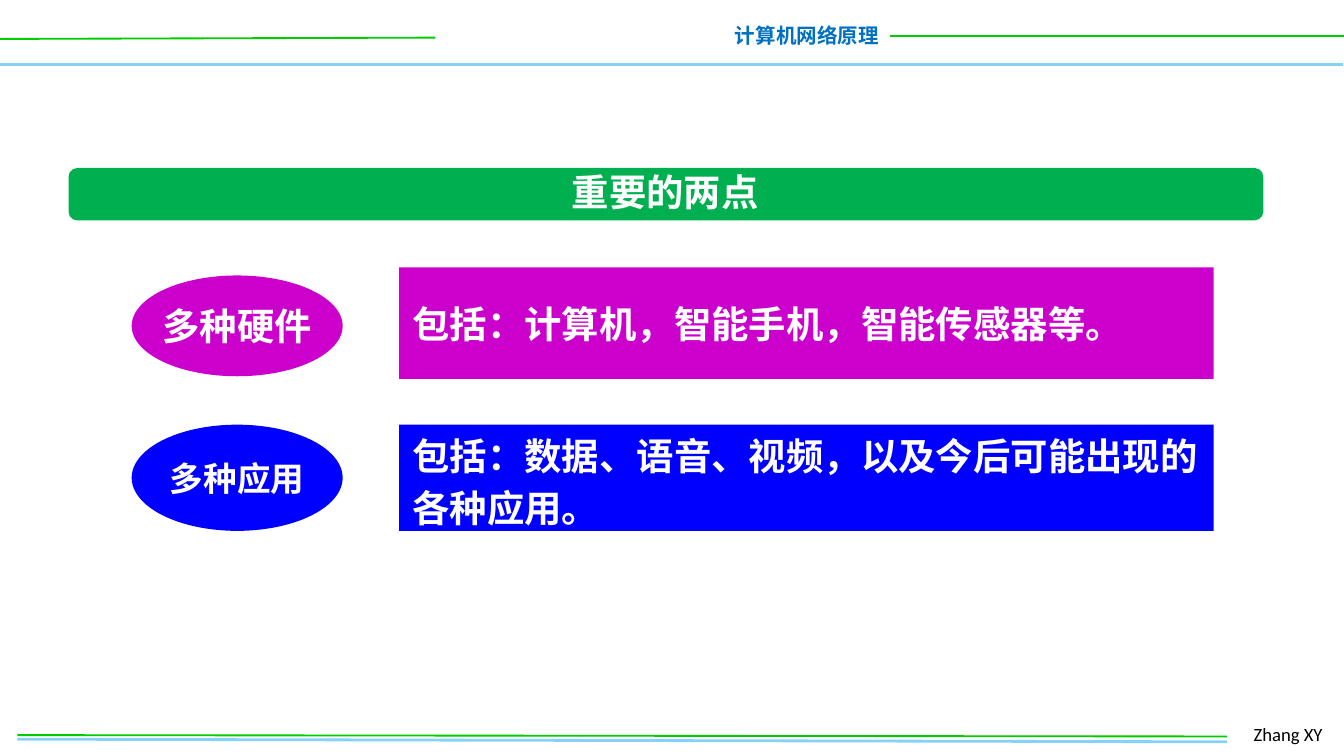
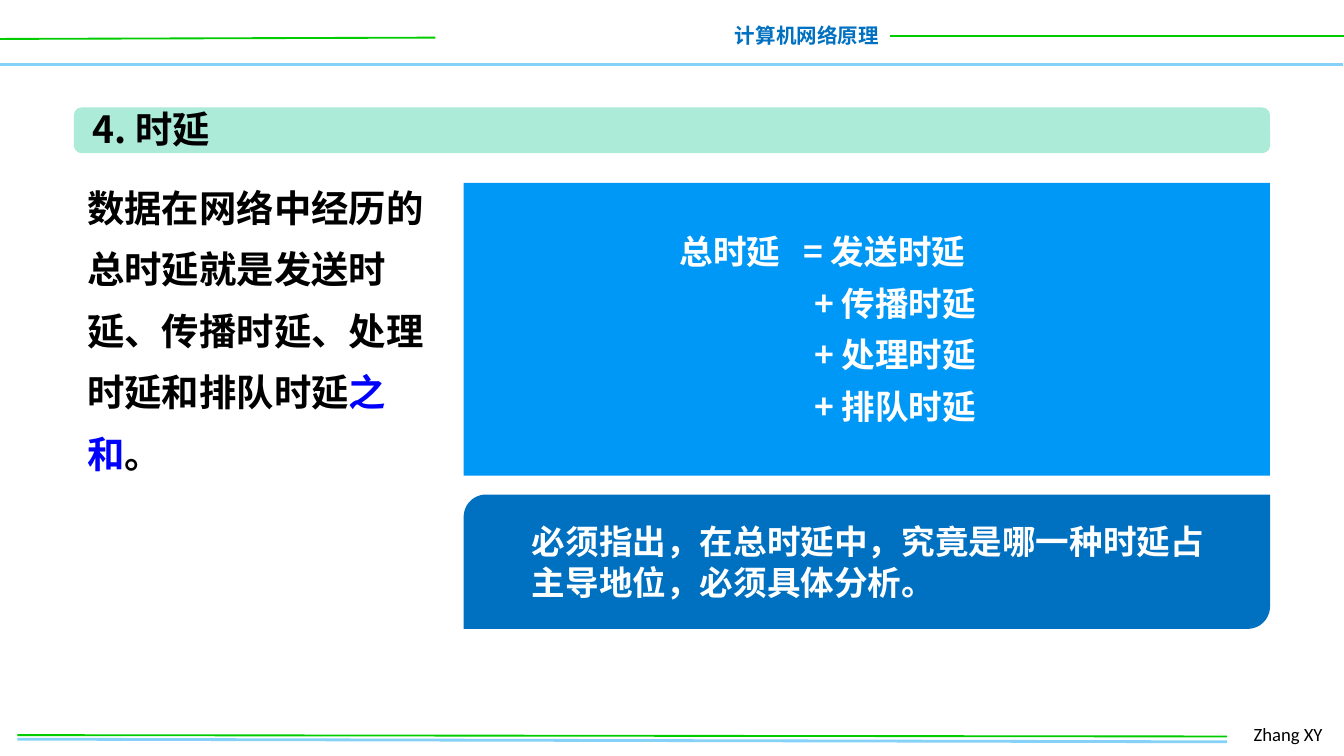
from lxml import etree
from pptx import Presentation
from pptx.dml.color import RGBColor
from pptx.enum.shapes import MSO_CONNECTOR, MSO_SHAPE
from pptx.enum.text import MSO_ANCHOR, PP_ALIGN
from pptx.oxml.ns import qn
from pptx.util import Inches, Pt

CJK = "Noto Sans CJK SC"
LATIN = "Calibri"
WHITE, BLACK = "FFFFFF", "000000"
GREEN_LINE, SKY_LINE = "00CC00", "85D1F7"
NAVY, BLUE, SKY = "0070C0", "0000FF", "0098F6"
PURPLE, GREEN, MINT = "CC00CC", "00B050", "ABEBD7"

FRAME_LINES = [  # start, end, colour, width
    ((-0.01, 0.48), (9.99, 0.48), SKY_LINE, 2),
    ((0, 0.29), (3.24, 0.28), GREEN_LINE, 1),
    ((6.62, 0.27), (10.01, 0.27), GREEN_LINE, 1),
    ((0.13, 5.5), (9.13, 5.52), SKY_LINE, 1.5),
    ((0.13, 5.47), (9.13, 5.48), GREEN_LINE, 1),
]


def rgb(color):
    return RGBColor.from_string(color)


def box(left, top, width, height):
    return [Inches(v) for v in (left, top, width, height)]


def style_run(r, size, color, bold=True, font=CJK):
    r.font.size = Pt(size)
    r.font.bold = bold
    r.font.color.rgb = rgb(color)
    r.font.name = font
    latin = r.font._element.find(qn("a:latin"))
    ea = etree.Element(qn("a:ea"), typeface=font)
    latin.addnext(ea)


def fill_text(sp, text, size, color, align=PP_ALIGN.LEFT, wrap=True,
              anchor=MSO_ANCHOR.TOP, **run_style):
    tf = sp.text_frame
    tf.text = text
    tf.word_wrap = wrap
    tf.vertical_anchor = anchor
    for p in tf.paragraphs:
        p.alignment = align
        p._p.get_or_add_pPr().set("hangingPunct", "0")
        for r in p.runs:
            style_run(r, size, color, **run_style)
    return tf


def add_text(slide, at, text, size, color, **options):
    sp = slide.shapes.add_textbox(*box(*at))
    return fill_text(sp, text, size, color, **options)


def add_block(slide, kind, at, color):
    sp = slide.shapes.add_shape(kind, *box(*at))
    sp.shadow.inherit = False
    sp.fill.solid()
    sp.fill.fore_color.rgb = rgb(color)
    sp.line.fill.background()
    return sp


def add_line(slide, start, end, color, width):
    line = slide.shapes.add_connector(
        MSO_CONNECTOR.STRAIGHT, *[Inches(v) for v in start + end])
    line.line.color.rgb = rgb(color)
    line.line.width = Pt(width)
    etree.SubElement(line._element.spPr, qn("a:effectLst"))


def add_title(slide, text, bar, bar_color, at, color, align):
    """Put the title over a rounded bar."""
    add_block(slide, MSO_SHAPE.ROUNDED_RECTANGLE, bar, bar_color)
    title = slide.shapes.title
    title.left, title.top, title.width, title.height = box(*at)
    fill_text(title, text, 20, color, align=align, wrap=False)
    slide.shapes._spTree.append(title._element)


def add_tab_stop(p, position):
    stops = etree.SubElement(p._p.get_or_add_pPr(), qn("a:tabLst"))
    etree.SubElement(stops, qn("a:tab"), pos=str(Inches(position)), algn="l")


def set_frame(slide):
    """Draw the header and footer, then hand them to the slide's layout."""
    own = len(slide.shapes)
    for line in FRAME_LINES:
        add_line(slide, *line)
    add_text(slide, (5.36, 0.12, 1.28, 0.29), "计算机网络原理", 11, NAVY,
             align=PP_ALIGN.RIGHT, wrap=False)
    add_text(slide, (9.23, 5.33, 0.74, 0.27), "Zhang XY", 10, BLACK,
             bold=False, font=LATIN)
    for sp in list(slide.shapes)[own:]:
        slide.slide_layout.shapes._spTree.append(sp._element)


def add_point(slide, oval, label, label_size, band, text, color):
    """Pair an oval label with the band that explains it."""
    sp = add_block(slide, MSO_SHAPE.OVAL, oval, color)
    fill_text(sp, label, label_size, WHITE, align=PP_ALIGN.CENTER,
              wrap=False, anchor=MSO_ANCHOR.MIDDLE)
    sp = add_block(slide, MSO_SHAPE.RECTANGLE, band, color)
    return fill_text(sp, text, 20, WHITE, anchor=MSO_ANCHOR.MIDDLE)


def build_key_points(slide):
    add_title(slide, "重要的两点", (0.51, 1.25, 8.89, 0.39), GREEN,
              (4.15, 1.21, 1.6, 0.44), WHITE, PP_ALIGN.CENTER)
    add_point(slide, (0.98, 2.05, 1.57, 0.75), "多种硬件", 20,
              (2.97, 1.99, 6.06, 0.83),
              "包括：计算机，智能手机，智能传感器等。", PURPLE)
    tf = add_point(slide, (0.98, 3.16, 1.57, 0.79), "多种应用", 18,
                   (2.97, 3.16, 6.06, 0.79),
                   "包括：数据、语音、视频，以及今后可能出现的各种应用。", BLUE)
    tf.paragraphs[0].line_spacing = Pt(28)


def build_delay(slide):
    add_title(slide, "4. 时延", (0.55, 0.8, 8.9, 0.34), MINT,
              (0.59, 0.74, 1.19, 0.44), BLACK, PP_ALIGN.LEFT)

    tf = add_text(slide, (0.55, 1.2, 2.9, 1.95),
                  "数据在网络中经历的总时延就是发送时延、传播时延、处理时延和排队时延",
                  20, BLACK)
    p = tf.paragraphs[0]
    p.line_spacing = Pt(33)
    for text, color in (("之和", BLUE), ("。", BLACK)):
        r = p.add_run()
        r.text = text
        style_run(r, 20, color)

    add_block(slide, MSO_SHAPE.RECTANGLE, (3.45, 1.36, 6, 2.18), SKY)
    terms = ["总时延\t= 发送时延"]
    terms += [f"\t+ {name}时延" for name in ("传播", "处理", "排队")]
    tf = add_text(slide, (4.96, 1.67, 3, 1.56), "\n".join(terms), 18, WHITE)
    total, *parts = tf.paragraphs
    add_tab_stop(total, 0.92)
    for p in parts:
        p.space_before = Pt(6)
        add_tab_stop(p, 1)

    add_block(slide, MSO_SHAPE.ROUND_2_DIAG_RECTANGLE, (3.45, 3.68, 6, 1), NAVY)
    add_text(slide, (3.86, 3.83, 5.4, 0.71),
             "必须指出，在总时延中，究竟是哪一种时延占主导地位，必须具体分析。",
             18, WHITE)


def main():
    prs = Presentation()
    prs.slide_width, prs.slide_height = Inches(10), Inches(5.625)
    title_only = prs.slide_layouts[5]
    key_points = prs.slides.add_slide(title_only)
    set_frame(key_points)
    build_key_points(key_points)
    build_delay(prs.slides.add_slide(title_only))
    prs.save("out.pptx")


if __name__ == "__main__":
    main()
